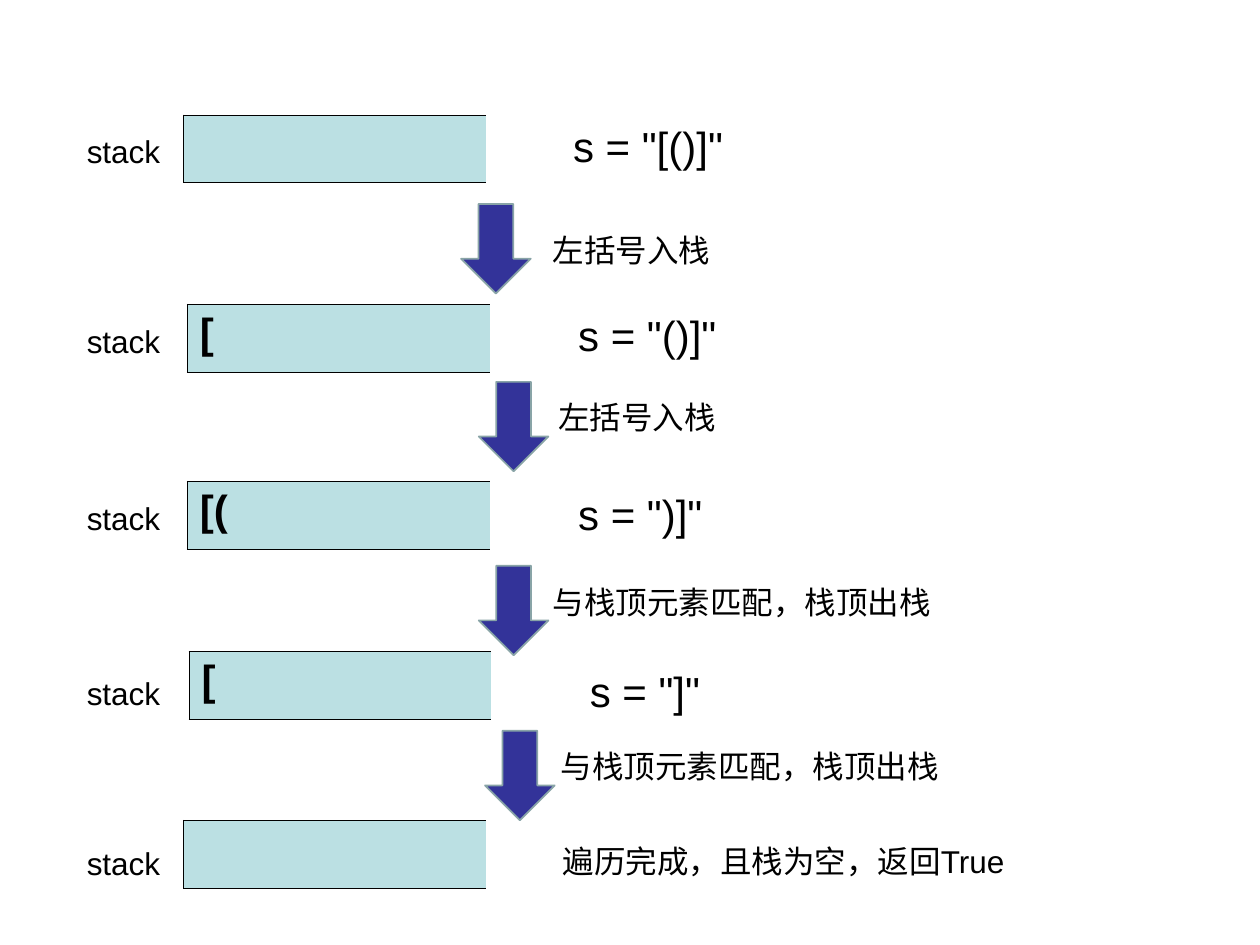
from lxml import etree
from pptx import Presentation, util as u
from pptx.dml import color
from pptx.enum import shapes, text
from pptx.oxml import ns

Pt = u.Pt


def rgb(code):
    return color.RGBColor.from_string(code)


class Deck:
    ink, cell, arrow, edge = "000000", "BBE0E3", "333399", "89A4A7"
    face = "Arial"

    def __init__(self, wide, high):
        self.prs = Presentation()
        self.prs.slide_width, self.prs.slide_height = Pt(wide), Pt(high)
        self.slide = self.prs.slides.add_slide(self.prs.slide_layouts[6])

    def words(self, para, words, size, bold=False):
        run = para.add_run()
        run.text = words
        form = {"name": self.face, "size": Pt(size), "bold": bold}
        for key, val in form.items():
            setattr(run.font, key, val)
        run.font.color.rgb = rgb(self.ink)

    def label(self, words, left, top, wide, high=28.8, size=18):
        box = self.slide.shapes.add_textbox(Pt(left), Pt(top), Pt(wide), Pt(high))
        form = {"word_wrap": True, "vertical_anchor": text.MSO_ANCHOR.TOP,
                "margin_left": Pt(7.2), "margin_right": Pt(7.2),
                "margin_top": Pt(3.6), "margin_bottom": Pt(3.6)}
        for key, val in form.items():
            setattr(box.text_frame, key, val)
        self.words(box.text_frame.paragraphs[0], words, size)

    def stack(self, words, left, top):
        grid = self.slide.shapes.add_table(
            1, 1, Pt(left), Pt(top), Pt(172.8), Pt(38.8)).table
        grid.first_row = grid.horz_banding = False
        cell = grid.cell(0, 0)
        cell.fill.solid()
        cell.fill.fore_color.rgb = rgb(self.cell)
        if words:
            self.words(cell.text_frame.paragraphs[0], words, 24, True)
        # Borders: open on the right, where items go in and out
        props = cell._tc.get_or_add_tcPr()
        for spot, side in enumerate("LRTB"):
            line = etree.Element(ns.qn("a:ln" + side), w=str(int(Pt(0.45))))
            if side == "R":
                etree.SubElement(line, ns.qn("a:noFill"))
            else:
                fill = etree.SubElement(line, ns.qn("a:solidFill"))
                etree.SubElement(fill, ns.qn("a:srgbClr"), val=self.ink)
            props.insert(spot, line)

    def down(self, left, top):
        shape = self.slide.shapes.add_shape(
            shapes.MSO_SHAPE.DOWN_ARROW, Pt(left), Pt(top), Pt(39.8), Pt(51.1))
        shape.shadow.inherit = False
        shape.fill.solid()
        shape.fill.fore_color.rgb = rgb(self.arrow)
        shape.line.color.rgb = rgb(self.edge)
        shape.line.width = Pt(1)


def main():
    deck = Deck(720, 540)

    # Stack states: content, left, top, top of name
    for words, left, top, name in [
            ("", 105, 65.7, 72), ("[", 107, 173.8, 180.7),
            ("[(", 107, 275, 281.5), ("[", 108, 372.2, 381.6),
            ("", 105, 468.7, 478.8)]:
        deck.stack(words, left, top)
        deck.label("stack", 42.5, name, 68)

    # Rest of the input string
    for words, left, top in [
            ('s = "[()]"', 320.4, 65.5), ('s = "()]"', 323.3, 173.5),
            ('s = ")]"', 323.3, 275.8), (' s = "]"', 323.3, 376.6)]:
        deck.label(words, left, top, 280.8, 35.3, 24)

    # Steps: arrow place, then note and its place
    push, pop = "左括号入栈", "与栈顶元素匹配，栈顶出栈"
    for left, top, words, x, y in [
            (263.5, 116.6, push, 308.9, 128.2), (273.6, 218.2, push, 311.8, 223.9),
            (273.6, 323.3, pop, 308.9, 329.8), (277.2, 417.6, pop, 313.2, 423.4)]:
        deck.down(left, top)
        deck.label(words, x, y, 239)

    # Result
    deck.label("遍历完成，且栈为空，返回True", 314.6, 477.4, 311)

    deck.prs.save("out.pptx")


if __name__ == "__main__":
    main()
